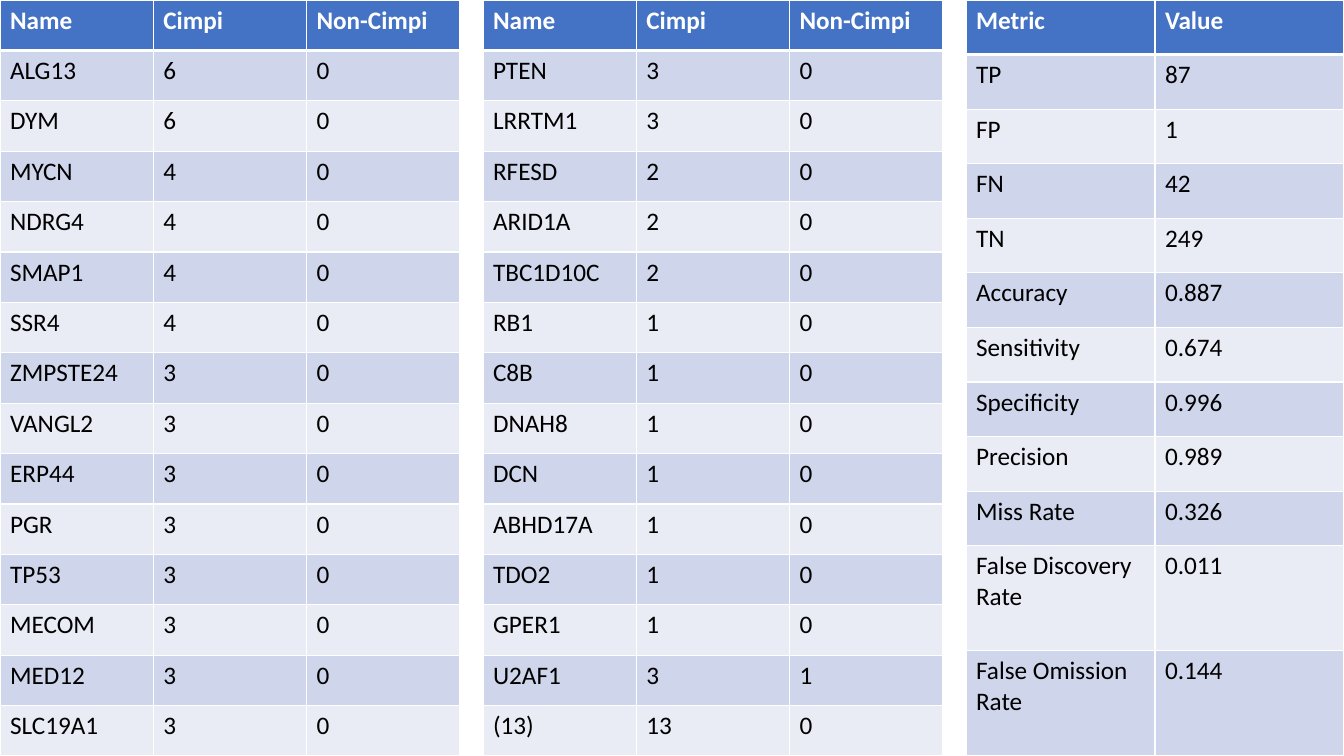
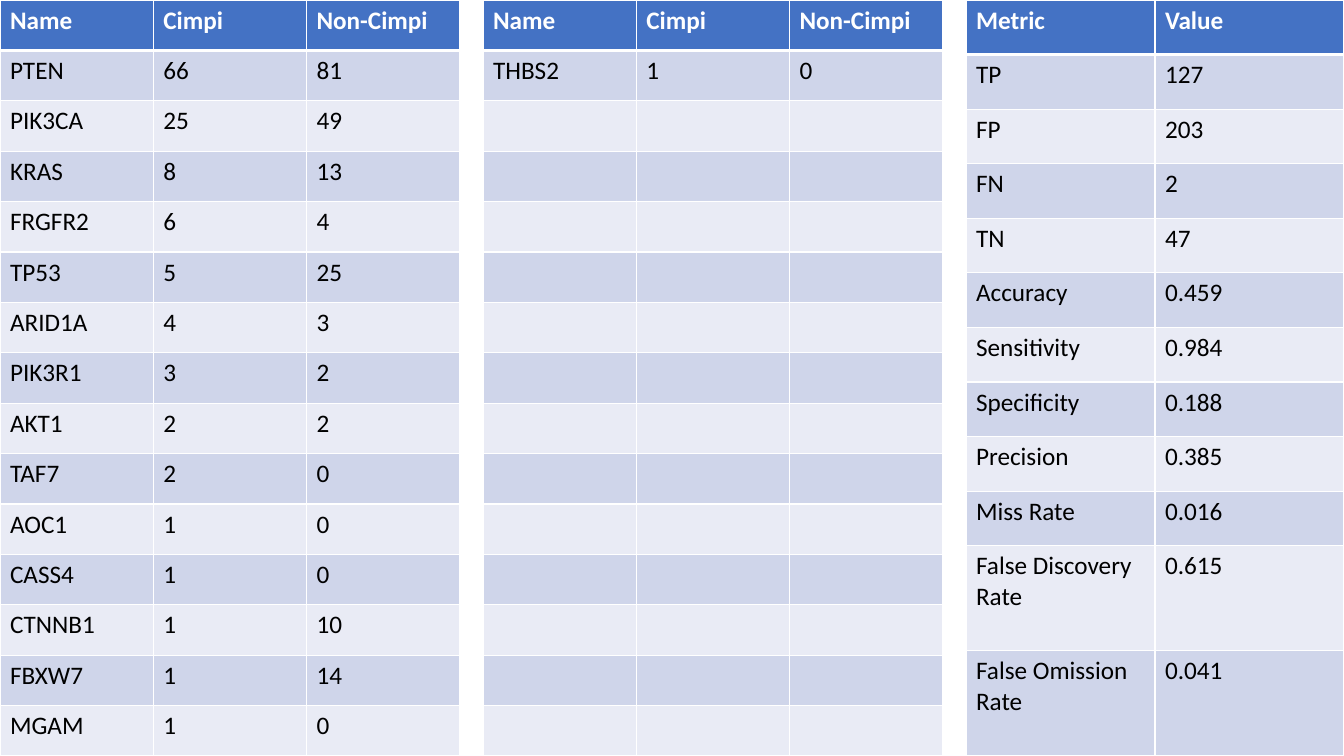
from dataclasses import dataclass

from lxml.etree import SubElement
from pptx import Presentation
from pptx.dml.color import RGBColor as Rgb
from pptx.oxml.ns import qn
from pptx.util import Pt


@dataclass(frozen=True)
class Theme:
    font: str = "Calibri"
    text_size: int = 18
    header_fill: str = "4472C4"
    header_text: str = "FFFFFF"
    body_text: str = "000000"
    band_fills: tuple = ("CFD5EA", "E9EBF5")
    rule: str = "FFFFFF"
    thin_rule: int = 1
    header_rule: int = 3


# Layout in px, 96 to the inch
EMU_PER_PX = 9525
SLIDE_WIDTH, SLIDE_HEIGHT = 1280, 720
GENE_LEFTS = (0, 460)
GENE_COLUMNS = [146] * 3
GENE_ROWS = [48] * 15
METRIC_LEFT = 920
METRIC_COLUMNS = [180] * 2
METRIC_ROWS = [52] * 10 + [100] * 2

# Headings shared by both slides
GENE_HEADER = ("Name", "Cimpi", "Non-Cimpi")
METRIC_HEADER = ("Metric", "Value")
METRICS = (
    "TP", "FP", "FN", "TN", "Accuracy", "Sensitivity", "Specificity",
    "Precision", "Miss Rate", "False Discovery\nRate", "False Omission\nRate",
)

# Each slide: genes of the left table, genes of the middle table, metric values
RESULTS = [
    (
        [("ALG13", 6, 0), ("DYM", 6, 0), ("MYCN", 4, 0), ("NDRG4", 4, 0),
         ("SMAP1", 4, 0), ("SSR4", 4, 0), ("ZMPSTE24", 3, 0),
         ("VANGL2", 3, 0), ("ERP44", 3, 0), ("PGR", 3, 0), ("TP53", 3, 0),
         ("MECOM", 3, 0), ("MED12", 3, 0), ("SLC19A1", 3, 0)],
        [("PTEN", 3, 0), ("LRRTM1", 3, 0), ("RFESD", 2, 0), ("ARID1A", 2, 0),
         ("TBC1D10C", 2, 0), ("RB1", 1, 0), ("C8B", 1, 0), ("DNAH8", 1, 0),
         ("DCN", 1, 0), ("ABHD17A", 1, 0), ("TDO2", 1, 0), ("GPER1", 1, 0),
         ("U2AF1", 3, 1), ("(13)", 13, 0)],
        (87, 1, 42, 249, 0.887, 0.674, 0.996, 0.989, 0.326, 0.011, 0.144),
    ),
    (
        [("PTEN", 66, 81), ("PIK3CA", 25, 49), ("KRAS", 8, 13),
         ("FRGFR2", 6, 4), ("TP53", 5, 25), ("ARID1A", 4, 3),
         ("PIK3R1", 3, 2), ("AKT1", 2, 2), ("TAF7", 2, 0), ("AOC1", 1, 0),
         ("CASS4", 1, 0), ("CTNNB1", 1, 10), ("FBXW7", 1, 14),
         ("MGAM", 1, 0)],
        [("THBS2", 1, 0)],
        (127, 203, 2, 47, 0.459, 0.984, 0.188, 0.385, 0.016, 0.615, 0.041),
    ),
]


def px(length):
    return length * EMU_PER_PX


class Deck:
    def __init__(self, theme):
        self.theme = theme
        self.show = Presentation()
        self.show.slide_width = px(SLIDE_WIDTH)
        self.show.slide_height = px(SLIDE_HEIGHT)
        self.slide = None

    def new_slide(self):
        self.slide = self.show.slides.add_slide(self.show.slide_layouts[6])

    def table(self, left, widths, heights, header, records):
        """Place a banded table; rows beyond the records stay empty."""
        table = self.slide.shapes.add_table(
            len(heights), len(widths), px(left), 0,
            px(sum(widths)), px(sum(heights))).table
        for column, width in zip(table.columns, widths):
            column.width = px(width)
        for row, height in zip(table.rows, heights):
            row.height = px(height)
        content = [header, *records]
        for index, row in enumerate(table.rows):
            for cell in row.cells:
                self.cell_style(cell, index)
            if index < len(content):
                for cell, value in zip(row.cells, content[index]):
                    self.cell_text(cell, str(value), index == 0)

    def cell_style(self, cell, row_index):
        theme = self.theme
        top = theme.header_rule if row_index == 1 else theme.thin_rule
        bottom = theme.header_rule if row_index == 0 else theme.thin_rule
        # Borders come before the fill in the cell properties
        properties = cell._tc.get_or_add_tcPr()
        for side, points in (("L", theme.thin_rule), ("R", theme.thin_rule),
                             ("T", top), ("B", bottom)):
            border = SubElement(properties, qn(f"a:ln{side}"), w=str(Pt(points)))
            paint = SubElement(border, qn("a:solidFill"))
            SubElement(paint, qn("a:srgbClr"), val=theme.rule)
        fill = theme.band_fills[(row_index - 1) % 2] if row_index else theme.header_fill
        cell.fill.solid()
        cell.fill.fore_color.rgb = Rgb.from_string(fill)

    def cell_text(self, cell, text, is_header):
        theme = self.theme
        color = theme.header_text if is_header else theme.body_text
        frame = cell.text_frame
        for index, line in enumerate(text.split("\n")):
            paragraph = frame.add_paragraph() if index else frame.paragraphs[0]
            run = paragraph.add_run()
            run.text = line
            run.font.name = theme.font
            run.font.size = Pt(theme.text_size)
            run.font.bold = is_header
            run.font.color.rgb = Rgb.from_string(color)


def main():
    deck = Deck(Theme())
    for *gene_lists, values in RESULTS:
        deck.new_slide()
        # Gene counts
        for left, genes in zip(GENE_LEFTS, gene_lists):
            deck.table(left, GENE_COLUMNS, GENE_ROWS, GENE_HEADER, genes)
        # Classifier metrics
        deck.table(METRIC_LEFT, METRIC_COLUMNS, METRIC_ROWS, METRIC_HEADER,
                   zip(METRICS, values))
    deck.show.save("out.pptx")


if __name__ == "__main__":
    main()
